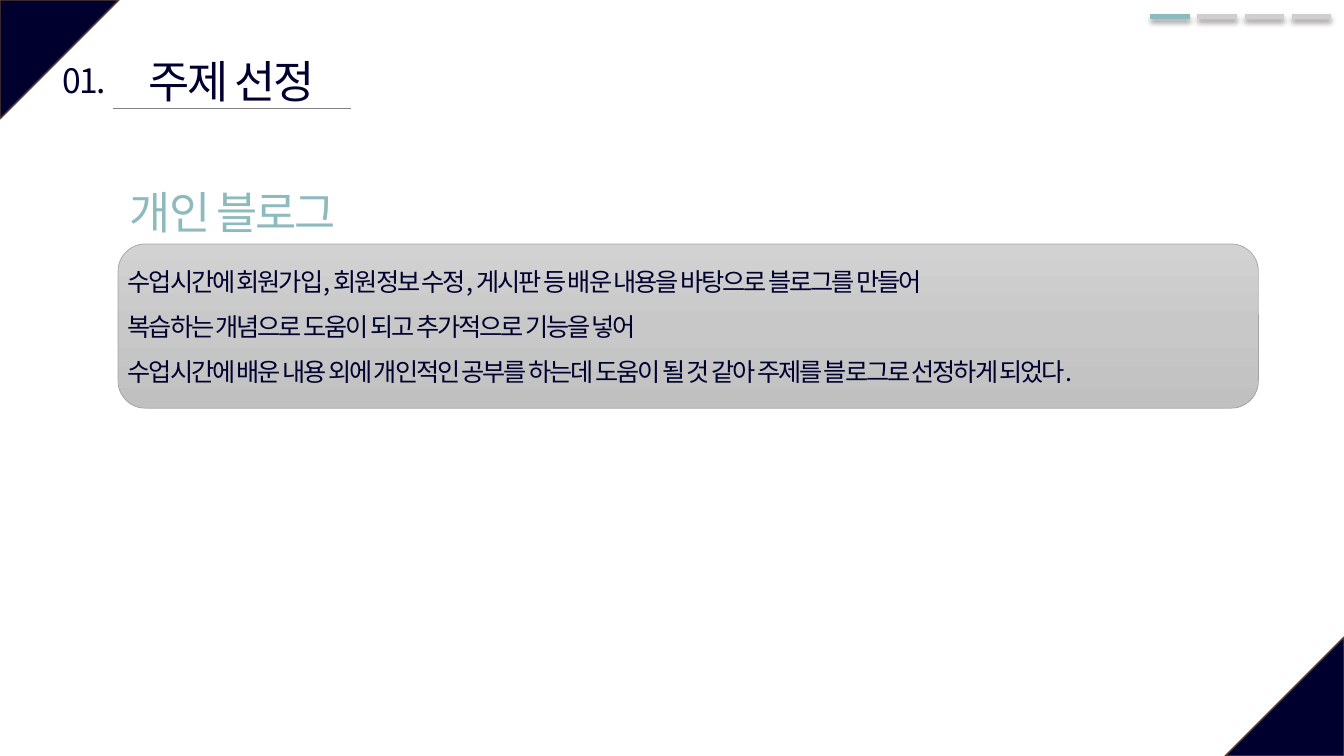
from copy import deepcopy

from lxml.etree import SubElement
from pptx import Presentation
from pptx.dml.color import RGBColor
from pptx.enum.shapes import MSO_CONNECTOR as Connector, MSO_SHAPE as Shape
from pptx.enum.text import MSO_ANCHOR as Anchor, MSO_AUTO_SIZE as AutoSize, PP_ALIGN as Align
from pptx.oxml.ns import qn
from pptx.util import Inches, Pt

NAVY = RGBColor(0x00, 0x00, 0x2F)
BROWN = RGBColor(0x5B, 0x3F, 0x33)
TEAL = RGBColor(0x8D, 0xBA, 0xBD)
PALE = RGBColor(0xD0, 0xCE, 0xCE)
RULE_GREY = RGBColor(0x80, 0x80, 0x80)
EDGE_GREY = RGBColor(0xA5, 0xA5, 0xA5)
PANEL_GREYS = [RGBColor(level, level, level) for level in (0xD2, 0xC8, 0xC0)]

REASONS = [
    "수업시간에 회원가입, 회원정보 수정, 게시판 등 배운 내용을 바탕으로 블로그를 만들어",
    "복습하는 개념으로 도움이 되고 추가적으로 기능을 넣어",
    "수업시간에 배운 내용 외에 개인적인 공부를 하는데 도움이 될 것 같아 주제를 블로그로 선정하게 되었다.",
]


class TopicSlide:
    """Draws styled elements on a grid of 100 columns by 100 rows."""

    font_name = "Noto Sans CJK KR"
    letter_spacing = "-150"

    def __init__(self, deck):
        self.column = deck.slide_width / 100
        self.row = deck.slide_height / 100
        self.slide = deck.slides.add_slide(deck.slide_layouts[5])
        self.shapes = self.slide.shapes

    def box(self, left, top, width, height):
        return (round(left * self.column), round(top * self.row),
                round(width * self.column), round(height * self.row))

    def outlined(self, preset, area, edge, weight):
        shape = self.shapes.add_shape(preset, *self.box(*area))
        shape.shadow.inherit = False
        shape.line.color.rgb = edge
        shape.line.width = Pt(weight)
        return shape

    def corner(self, left, top, rotation):
        triangle = self.outlined(Shape.ISOSCELES_TRIANGLE, (left, top, 8.85, 15.73), BROWN, 1)
        triangle.adjustments[0] = 0
        triangle.rotation = rotation
        triangle.fill.solid()
        triangle.fill.fore_color.rgb = NAVY

    def panel(self, *area):
        fill = self.outlined(Shape.ROUNDED_RECTANGLE, area, EDGE_GREY, 0.5).fill
        fill.gradient()
        fill.gradient_angle = 270
        first = fill._fill._gradFill.gsLst[0]
        first.addnext(deepcopy(first))
        for index, (stop, grey) in enumerate(zip(fill.gradient_stops, PANEL_GREYS)):
            stop.position = index / 2
            stop.color.rgb = grey

    def rule(self, left, right, level, color, weight, shadow=False):
        start_x, y, end_x, _ = self.box(left, level, right, 0)
        rule = self.shapes.add_connector(Connector.STRAIGHT, start_x, y, end_x, y)
        rule.line.color.rgb = color
        rule.line.width = Pt(weight)
        effects = SubElement(rule._element.spPr, qn("a:effectLst"))
        if shadow:
            outer = SubElement(effects, qn("a:outerShdw"), blurRad=str(Pt(4)),
                               dist=str(Pt(3)), dir="5400000", algn="t", rotWithShape="0")
            black = SubElement(outer, qn("a:srgbClr"), val="000000")
            SubElement(black, qn("a:alpha"), val="40000")

    def text(self, lines, area, size, color=NAVY, align=Align.CENTER, spacing=1, title=False):
        holder = self.shapes.title if title else self.shapes.add_textbox(0, 0, 0, 0)
        holder.left, holder.top, holder.width, holder.height = self.box(*area)
        frame = holder.text_frame
        frame.text = "\n".join(lines)
        frame.word_wrap = False
        frame.auto_size = AutoSize.SHAPE_TO_FIT_TEXT
        frame.vertical_anchor = Anchor.TOP
        for paragraph in frame.paragraphs:
            paragraph.alignment = align
            paragraph.line_spacing = spacing
            font = paragraph.font
            font.size = Pt(size)
            font.color.rgb = color
            font.name = self.font_name
            font._rPr.set("spc", self.letter_spacing)
            SubElement(font._rPr, qn("a:ea"), typeface=self.font_name)


def main():
    deck = Presentation()
    deck.slide_width, deck.slide_height = Inches(13.33), Inches(7.5)
    topic = TopicSlide(deck)

    topic.corner(0, 0, 90)
    topic.corner(91.15, 84.27, 270)
    topic.panel(8.78, 32.27, 84.85, 21.73)
    topic.rule(8.4, 26.1, 14.4, RULE_GREY, 0.5)
    topic.text(["주제 선정"], (9.6, 6.4, 15.3, 8.53), 32, title=True)
    topic.text(["01."], (3.75, 7.33, 5.03, 6.67), 24)
    for step in range(4):
        start = 85.6 + 3.5 * step
        topic.rule(start, start + 2.95, 2.13, PALE if step else TEAL, 3.5, shadow=True)
    topic.text(["개인 블로그"], (8.03, 23.73, 18.6, 8.53), 32, TEAL)
    topic.text(REASONS, (8.78, 32.53, 81.83, 18.8), 18, align=Align.LEFT, spacing=1.5)

    deck.save("out.pptx")


if __name__ == "__main__":
    main()
